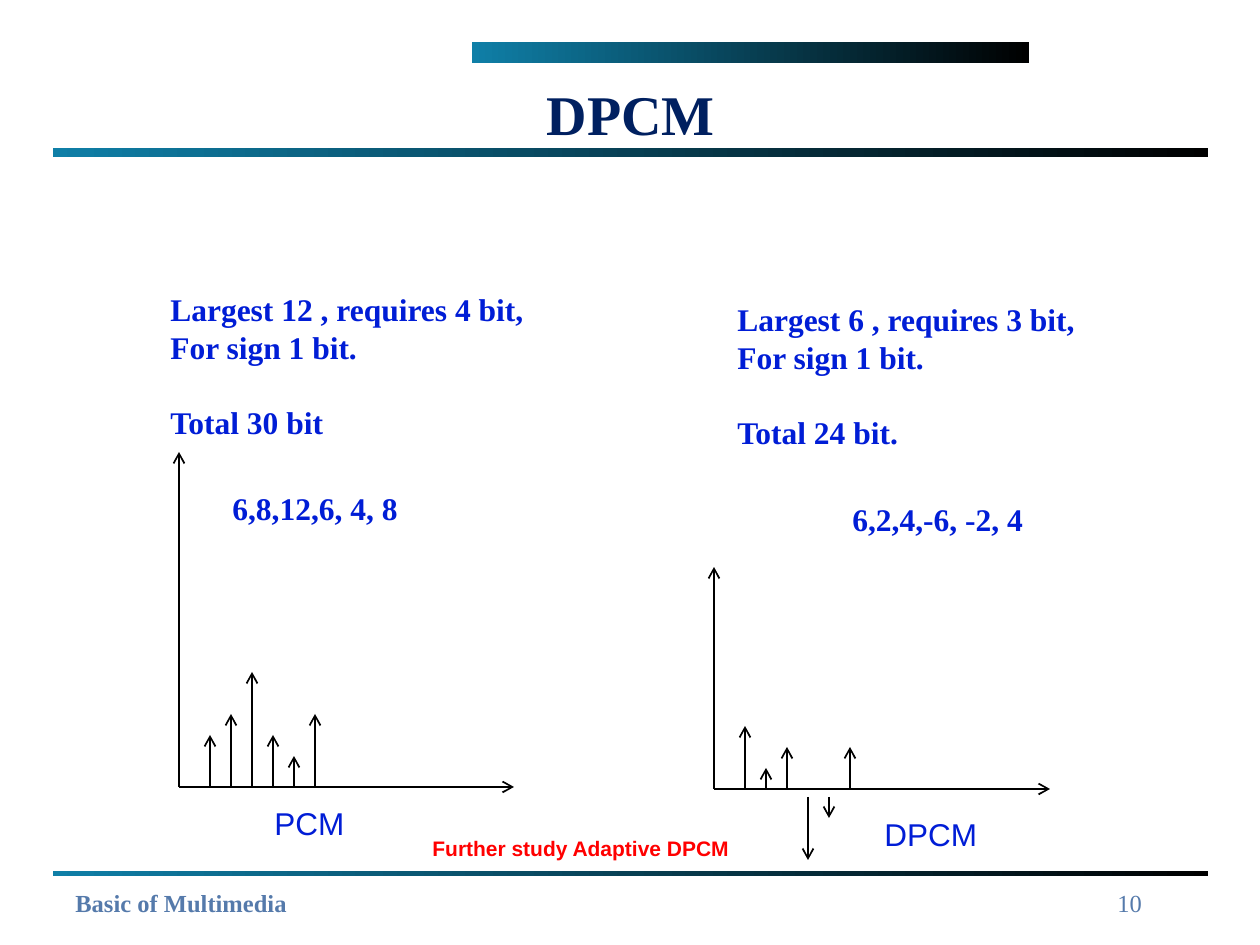
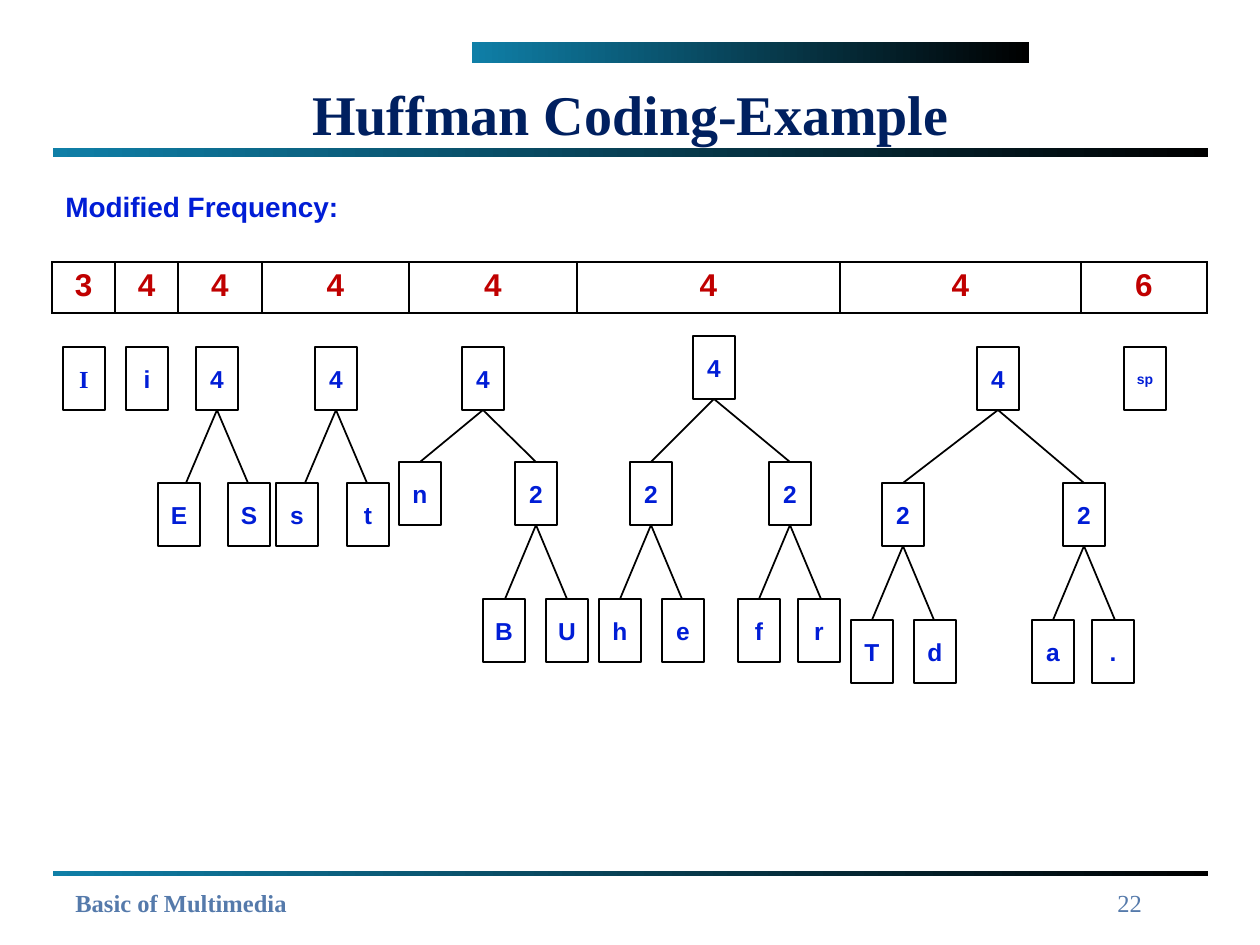
from dataclasses import dataclass, field

from lxml import etree
from pptx import Presentation
from pptx.dml.color import RGBColor
from pptx.enum.shapes import MSO_CONNECTOR, MSO_SHAPE
from pptx.enum.text import MSO_ANCHOR, PP_ALIGN
from pptx.oxml.ns import qn
from pptx.util import Emu, Pt

LINE, RECT = MSO_CONNECTOR.STRAIGHT, MSO_SHAPE.RECTANGLE
MIDDLE, TOP = MSO_ANCHOR.MIDDLE, MSO_ANCHOR.TOP
LEFT, MID, RIGHT = PP_ALIGN.LEFT, PP_ALIGN.CENTER, PP_ALIGN.RIGHT
SCALE = 914400 / 126
SERIF, SANS = "Times New Roman", "Arial"
BOX_W, BOX_H, SPREAD = 42, 63, 31


def style(name, size, rgb, bold=True):
    """Return the format values of one text style."""
    return {"name": name, "size": Pt(size), "bold": bold, "rgb": rgb}


@dataclass
class Theme:
    """Colours and text styles of the deck."""
    black: str = "000000"
    white: str = "FFFFFF"
    teal: str = "0F7FA7"
    text: dict = field(default_factory=lambda: {
        "title": style(SERIF, 32, "002060"),
        "foot": style(SERIF, 14, "557AAB"),
        "page": style(SERIF, 14, "557AAB", False),
        "note": style(SERIF, 18, "001DD6"),
        "name": style(SANS, 18, "001DD6", False),
        "hint": style(SANS, 12, "FF0000"),
        "head": style(SANS, 16, "001DD6"),
        "count": style(SANS, 18, "C00000"),
        "node": style(SANS, 14, "001DD6"),
        "roman": style(SERIF, 14, "001DD6"),
        "small": style(SANS, 8, "001DD6"),
    })


THEME = Theme()


def px(*sizes):
    """Turn pixels into EMU."""
    return [Emu(round(size * SCALE)) for size in sizes]


def color(code):
    """Turn a hex code into a colour."""
    return RGBColor.from_string(code)


def write(frame, lines, kind, align=LEFT, gap=0):
    """Fill a text frame, with a gap in points between paragraphs."""
    for i, line in enumerate(lines):
        para = frame.add_paragraph() if i else frame.paragraphs[0]
        para.alignment = align
        if i:
            para.space_before = Pt(gap)
        run = para.add_run()
        run.text = line
        for key, value in THEME.text[kind].items():
            if key == "rgb":
                run.font.color.rgb = color(value)
            else:
                setattr(run.font, key, value)


def label(slide, box, lines, kind, align=LEFT, anchor=TOP, gap=0, right=12):
    """Add a wrapped text box."""
    frame = slide.shapes.add_textbox(*px(*box)).text_frame
    form = {"word_wrap": True, "vertical_anchor": anchor,
            "margin_right": px(right)[0]}
    for key, value in form.items():
        setattr(frame, key, value)
    write(frame, lines, kind, align, gap)


def line(slide, start, end, arrow=False):
    """Add a thin black line, with an arrowhead at its end if asked."""
    link = slide.shapes.add_connector(LINE, *px(*start, *end))
    link.line.color.rgb = color(THEME.black)
    link.line.width = Pt(1)
    props = link.element.spPr
    if arrow:
        etree.SubElement(props.find(qn("a:ln")), qn("a:tailEnd"), type="arrow")
    etree.SubElement(props, qn("a:effectLst"))


def band(slide, box):
    """Add a bar that fades from teal to black."""
    bar = slide.shapes.add_shape(RECT, *px(*box))
    bar.shadow.inherit = False
    bar.line.fill.background()
    bar.fill.gradient()
    bar.fill.gradient_angle = 0
    for stop, code in zip(bar.fill.gradient_stops, (THEME.teal, THEME.black)):
        stop.color.rgb = color(code)


def page(deck, title, number):
    """Start a slide with its bands, title and footer."""
    slide = deck.slides.add_slide(deck.slide_layouts[6])
    for box in ((472, 42, 557, 21), (53, 148, 1155, 9), (53, 871, 1155, 5)):
        band(slide, box)
    label(slide, (53, 71, 1155, 84), [title], "title", MID, MIDDLE)
    label(slide, (63, 882, 766, 42), ["Basic of Multimedia"], "foot")
    label(slide, (892, 882, 262, 63), [str(number)], "page", RIGHT)
    return slide


def plot(slide, box, values, less=0):
    """Draw axes in a box and one arrow a value, its height cut by less."""
    x, y, wide, high = box
    base = y + high
    line(slide, (x, base), (x + wide, base), True)
    line(slide, (x, base), (x, y), True)
    for i, value in enumerate(values):
        at = x + 31 + 21 * i
        start = base if value > 0 else base + 8
        line(slide, (at, start), (at, start - 21 * (value - less) // 2), True)


def node(slide, x, y, text, kind="node"):
    """Draw one boxed symbol or count."""
    box = slide.shapes.add_shape(RECT, *px(x, y, BOX_W, BOX_H))
    box.shadow.inherit = False
    box.fill.solid()
    box.fill.fore_color.rgb = color(THEME.white)
    box.line.color.rgb = color(THEME.black)
    box.line.width = Pt(1)
    form = {"margin_left": 0, "margin_right": 0, "word_wrap": False,
            "vertical_anchor": MIDDLE}
    for key, value in form.items():
        setattr(box.text_frame, key, value)
    write(box.text_frame, [text], kind, MID)


def tree(slide, part, tops):
    """Draw a node and its branches, one top for each level."""
    text, x, *kids = part
    mid = x + BOX_W // 2
    leafy = all(len(kid) == 2 for kid in kids)
    for kid, side in zip(kids, (-1, 1)):
        end = mid + side * SPREAD if leafy else kid[1] + BOX_W // 2
        line(slide, (mid, tops[0] + BOX_H), (end, tops[1]))
        tree(slide, kid, tops[1:])
    node(slide, x, tops[0], text)


def strip(slide, box, widths, counts):
    """Add the one-row table of counts."""
    table = slide.shapes.add_table(1, len(counts), *px(*box)).table
    table.first_row = table.horz_banding = False
    for i, (width, count) in enumerate(zip(widths, counts)):
        table.columns[i].width = px(width)[0]
        cell = table.cell(0, i)
        props = cell._tc.get_or_add_tcPr()
        for side in ("lnL", "lnR", "lnT", "lnB"):
            edge = etree.SubElement(props, qn("a:" + side), w="12700")
            fill = etree.SubElement(edge, qn("a:solidFill"))
            etree.SubElement(fill, qn("a:srgbClr"), val=THEME.black)
        cell.fill.background()
        write(cell.text_frame, [count], "count", MID)


def signal(deck):
    """Build the slide that sets PCM against DPCM."""
    slide = page(deck, "DPCM", 10)
    plot(slide, (179, 452, 335, 335), (6, 8, 12, 6, 4, 8), 1)
    plot(slide, (714, 567, 336, 222), (6, 2, 4, -6, -2, 4))
    notes = (
        ((158, 284, 431, 184),
         ["Largest 12 , requires 4 bit, For sign 1 bit.", "Total 30 bit"]),
        ((725, 294, 388, 184),
         ["Largest 6 , requires 3 bit, For sign 1 bit.", "Total 24 bit."]),
    )
    for box, lines in notes:
        label(slide, box, lines, "note", gap=21, right=24)
    tags = (
        ((220, 483, 231, 50), "6,8,12,6, 4, 8", "note"),
        ((840, 494, 262, 50), "6,2,4,-6, -2, 4", "note"),
        ((262, 798, 168, 50), "PCM", "name"),
        ((872, 809, 168, 50), "DPCM", "name"),
        ((420, 829, 336, 38), "Further study Adaptive DPCM", "hint"),
    )
    for box, text, kind in tags:
        label(slide, box, [text], kind)


def huffman(deck):
    """Build the slide of Huffman trees under their counts."""
    slide = page(deck, "Huffman Coding-Example", 22)
    label(slide, (53, 183, 399, 47), ["Modified Frequency:"], "head")
    strip(slide, (52, 262, 1155, 51),
          (63, 63, 84, 147, 168, 263, 241, 126), "34444446")
    for x, text, kind in ((63, "I", "roman"), (126, "i", "node"),
                          (1124, "sp", "small")):
        node(slide, x, 347, text, kind)
    trees = (
        (("4", 196, ("E", 158), ("S", 228)), (347, 483)),
        (("4", 315, ("s", 276), ("t", 347)), (347, 483)),
        (("4", 462, ("n", 399), ("2", 515, ("B", 483), ("U", 546))),
         (347, 462, 599)),
        (("4", 693, ("2", 630, ("h", 599), ("e", 662)),
          ("2", 769, ("f", 738), ("r", 798))), (336, 462, 599)),
        (("4", 977, ("2", 882, ("T", 851), ("d", 914)),
          ("2", 1063, ("a", 1032), (".", 1092))), (347, 483, 620)),
    )
    for part, tops in trees:
        tree(slide, part, tops)


deck = Presentation()
deck.slide_width, deck.slide_height = px(1260, 945)
signal(deck)
huffman(deck)
deck.save("out.pptx")
